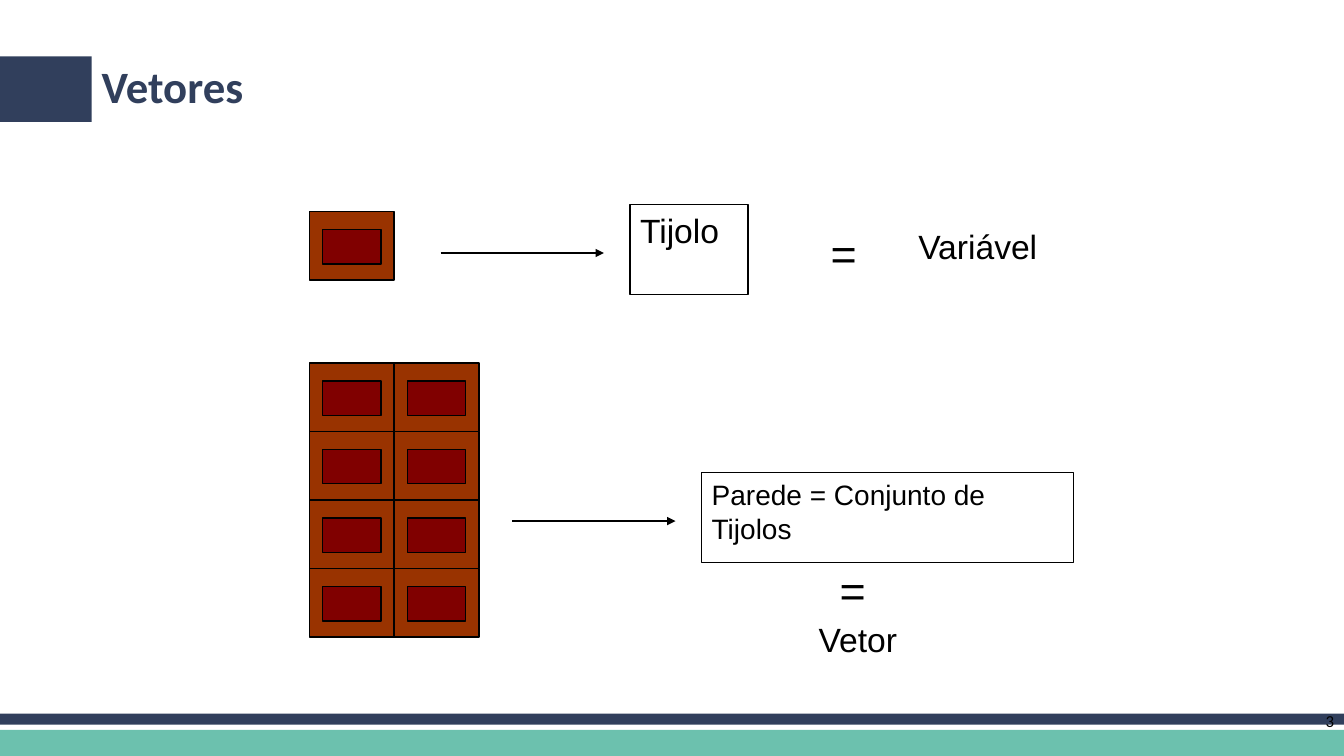
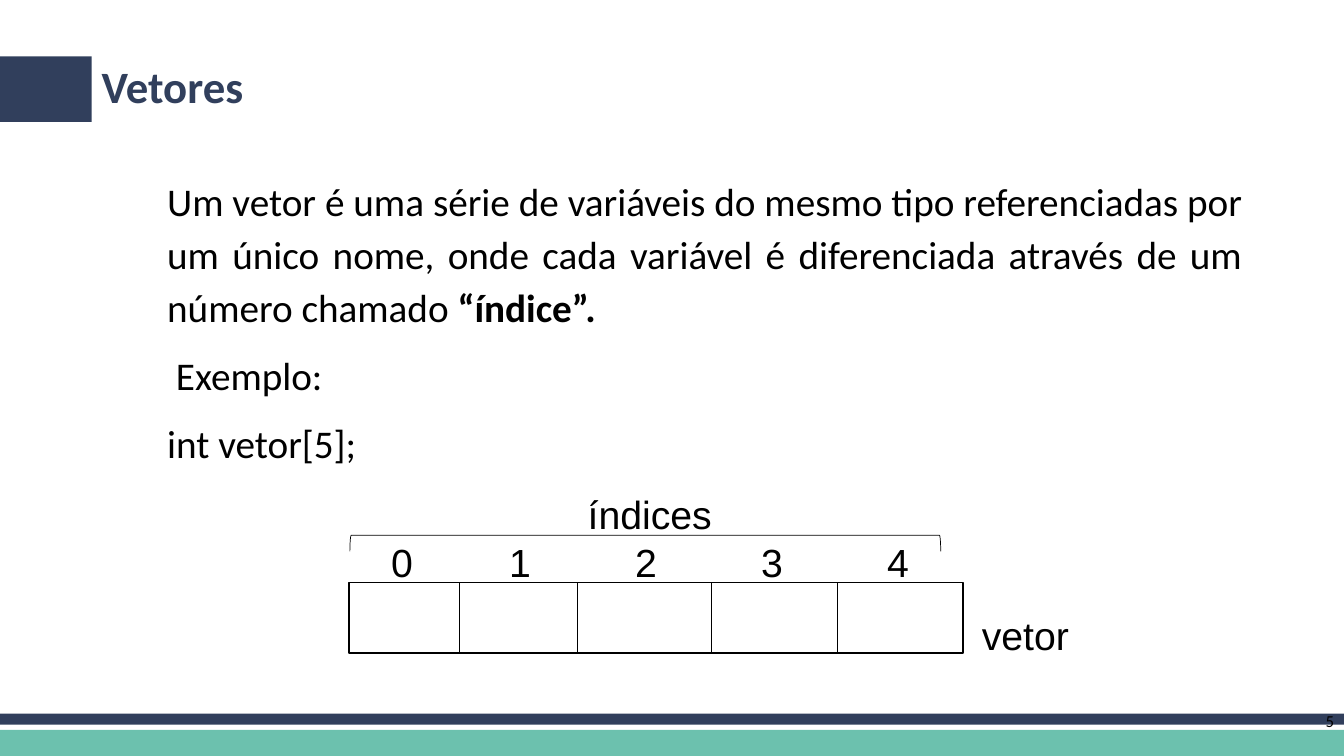
"""Build two slides that introduce vectors in programming."""
from dataclasses import dataclass

from lxml.etree import SubElement
from pptx import Presentation
from pptx.dml.color import RGBColor
from pptx.enum.shapes import MSO_CONNECTOR, MSO_SHAPE
from pptx.enum.text import MSO_ANCHOR, PP_ALIGN
from pptx.oxml.ns import qn
from pptx.util import Inches, Pt


@dataclass(frozen=True)
class Theme:
    """Hold the colours, fonts and type sizes of the presentation."""

    navy: str = "313F5C"
    teal: str = "6CC1AE"
    brick: str = "993300"
    brick_core: str = "800000"
    white: str = "FFFFFF"
    black: str = "000000"
    heading_font: str = "Calibri"
    diagram_font: str = "Arial"
    title_size: int = 32
    symbol_size: int = 32
    body_size: int = 28
    label_size: int = 24
    small_label_size: int = 20
    number_size: int = 12
    line_width: float = 1
    thin_line_width: float = 0.5


class Deck:
    """Draw styled elements on the current slide."""

    def __init__(self, theme):
        self.theme = theme
        self.presentation = Presentation()
        self.presentation.slide_width = Inches(13.33)
        self.presentation.slide_height = Inches(7.5)
        self.slide = None

    def start_slide(self, title, number):
        theme = self.theme
        layout = self.presentation.slide_layouts[6]
        self.slide = self.presentation.slides.add_slide(layout)
        self.shape(0, 7.24, 13.33, 0.26, fill=theme.teal)
        self.shape(0, 7.08, 13.33, 0.11, fill=theme.navy)
        self.shape(0, 0.56, 0.91, 0.65, fill=theme.navy)
        heading = self.text(title, 0.91, 0.36, 11.5, 1.05, theme.title_size,
                            font=theme.heading_font, color=theme.navy,
                            anchor=MSO_ANCHOR.MIDDLE, wrap=True)
        heading.font.bold = True
        heading.line_spacing = 0.9
        page = self.text(number, 11, 6.95, 2.33, 0.4, theme.number_size,
                         font=theme.heading_font, anchor=MSO_ANCHOR.MIDDLE, wrap=True)
        page.alignment = PP_ALIGN.RIGHT

    def shape(self, left, top, width, height, fill=None, line_width=None,
              kind=MSO_SHAPE.RECTANGLE):
        shape = self.slide.shapes.add_shape(
            kind, Inches(left), Inches(top), Inches(width), Inches(height))
        shape.shadow.inherit = False
        if fill:
            shape.fill.solid()
            shape.fill.fore_color.rgb = RGBColor.from_string(fill)
        else:
            shape.fill.background()
        if line_width:
            self.style_line(shape.line, line_width)
        else:
            shape.line.fill.background()
        return shape

    def style_line(self, line, width):
        line.color.rgb = RGBColor.from_string(self.theme.black)
        line.width = Pt(width)

    def style_paragraph(self, paragraph, size, font, color):
        paragraph.alignment = PP_ALIGN.LEFT
        paragraph.font.size = Pt(size)
        paragraph.font.name = font
        paragraph.font.color.rgb = RGBColor.from_string(color)

    def text(self, words, left, top, width, height, size, font=None, color=None,
             anchor=MSO_ANCHOR.TOP, wrap=False):
        box = self.slide.shapes.add_textbox(
            Inches(left), Inches(top), Inches(width), Inches(height))
        box.text_frame.word_wrap = wrap
        box.text_frame.vertical_anchor = anchor
        paragraph = box.text_frame.paragraphs[0]
        paragraph.text = words
        self.style_paragraph(paragraph, size, font or self.theme.diagram_font,
                             color or self.theme.black)
        return paragraph

    def body(self, paragraphs, left, top, width, height):
        box = self.slide.shapes.add_textbox(
            Inches(left), Inches(top), Inches(width), Inches(height))
        frame = box.text_frame
        frame.word_wrap = True
        for index, (alignment, runs) in enumerate(paragraphs):
            paragraph = frame.add_paragraph() if index else frame.paragraphs[0]
            self.style_paragraph(paragraph, self.theme.body_size,
                                 self.theme.heading_font, self.theme.black)
            paragraph.alignment = alignment
            paragraph.line_spacing = 1.13
            paragraph.space_before = Pt(10.5)
            for words, bold in runs:
                run = paragraph.add_run()
                run.text = words
                run.font.bold = bold

    def label_box(self, words, left, top, width, height, size):
        box = self.shape(left, top, width, height, self.theme.white,
                         self.theme.line_width)
        box.text_frame.word_wrap = True
        box.text_frame.vertical_anchor = MSO_ANCHOR.TOP
        paragraph = box.text_frame.paragraphs[0]
        paragraph.text = words
        self.style_paragraph(paragraph, size, self.theme.diagram_font, self.theme.black)

    def line(self, start_x, start_y, end_x, end_y, width, arrow=False):
        connector = self.slide.shapes.add_connector(
            MSO_CONNECTOR.STRAIGHT, Inches(start_x), Inches(start_y),
            Inches(end_x), Inches(end_y))
        self.style_line(connector.line, width)
        properties = connector.element.find(qn("p:spPr"))
        if arrow:
            SubElement(properties.find(qn("a:ln")), qn("a:tailEnd"), type="triangle")
        SubElement(properties, qn("a:effectLst"))

    def arrow(self, left, top):
        self.line(left, top, left + 1.62, top, self.theme.line_width, arrow=True)

    def brick(self, left, top):
        theme = self.theme
        self.shape(left, top, 0.84, 0.68, theme.brick, theme.line_width)
        self.shape(left + 0.13, top + 0.18, 0.58, 0.34, theme.brick_core,
                   theme.line_width)


def build_brick_slide(deck):
    theme = deck.theme
    deck.start_slide("Vetores", "3")
    deck.brick(3.07, 2.1)
    deck.arrow(4.37, 2.51)
    deck.label_box("Tijolo", 6.25, 2.03, 1.17, 0.89, theme.label_size)
    deck.text("=", 8.14, 2.19, 0.46, 0.64, theme.symbol_size)
    deck.text("Variável", 9.01, 2.19, 1.4, 0.51, theme.label_size)

    for row in range(4):
        for column in range(2):
            deck.brick(3.07 + column * 0.84, 3.6 + row * 0.68)
    deck.arrow(5.08, 5.17)
    deck.label_box("Parede = Conjunto de Tijolos", 6.96, 4.69, 3.69, 0.89,
                   theme.small_label_size)
    deck.text("=", 8.23, 5.53, 0.47, 0.64, theme.symbol_size)
    deck.text("Vetor", 8.02, 6.09, 0.99, 0.51, theme.label_size)


def build_index_slide(deck):
    theme = deck.theme
    deck.start_slide("Vetores", "5")
    deck.body([
        (PP_ALIGN.JUSTIFY, [
            ("Um vetor é uma série de variáveis do mesmo tipo referenciadas por um "
             "único nome, onde cada variável é diferenciada através de um número "
             "chamado ", False),
            ("“índice”.", True)]),
        (PP_ALIGN.LEFT, [(" Exemplo:", False)]),
        (PP_ALIGN.LEFT, [("int vetor[5];", False)]),
    ], 1.56, 1.65, 10.86, 4.93)

    deck.shape(3.46, 5.78, 6.09, 0.7, line_width=theme.line_width)
    for divider in (4.56, 5.73, 7.06, 8.31):
        deck.line(divider, 5.78, divider, 6.48, theme.thin_line_width)
    for index, left in enumerate((3.78, 4.95, 6.2, 7.45, 8.7)):
        deck.text(str(index), left, 5.29, 0.42, 0.57, theme.body_size)
    deck.text("vetor", 9.64, 6.02, 1.08, 0.57, theme.body_size)
    deck.text("índices", 5.73, 4.82, 1.45, 0.57, theme.body_size)
    bracket = deck.shape(6.32, 2.46, 0.16, 5.86, line_width=theme.thin_line_width,
                         kind=MSO_SHAPE.LEFT_BRACKET)
    bracket.rotation = 90


def main():
    deck = Deck(Theme())
    build_brick_slide(deck)
    build_index_slide(deck)
    deck.presentation.save("out.pptx")


if __name__ == "__main__":
    main()
